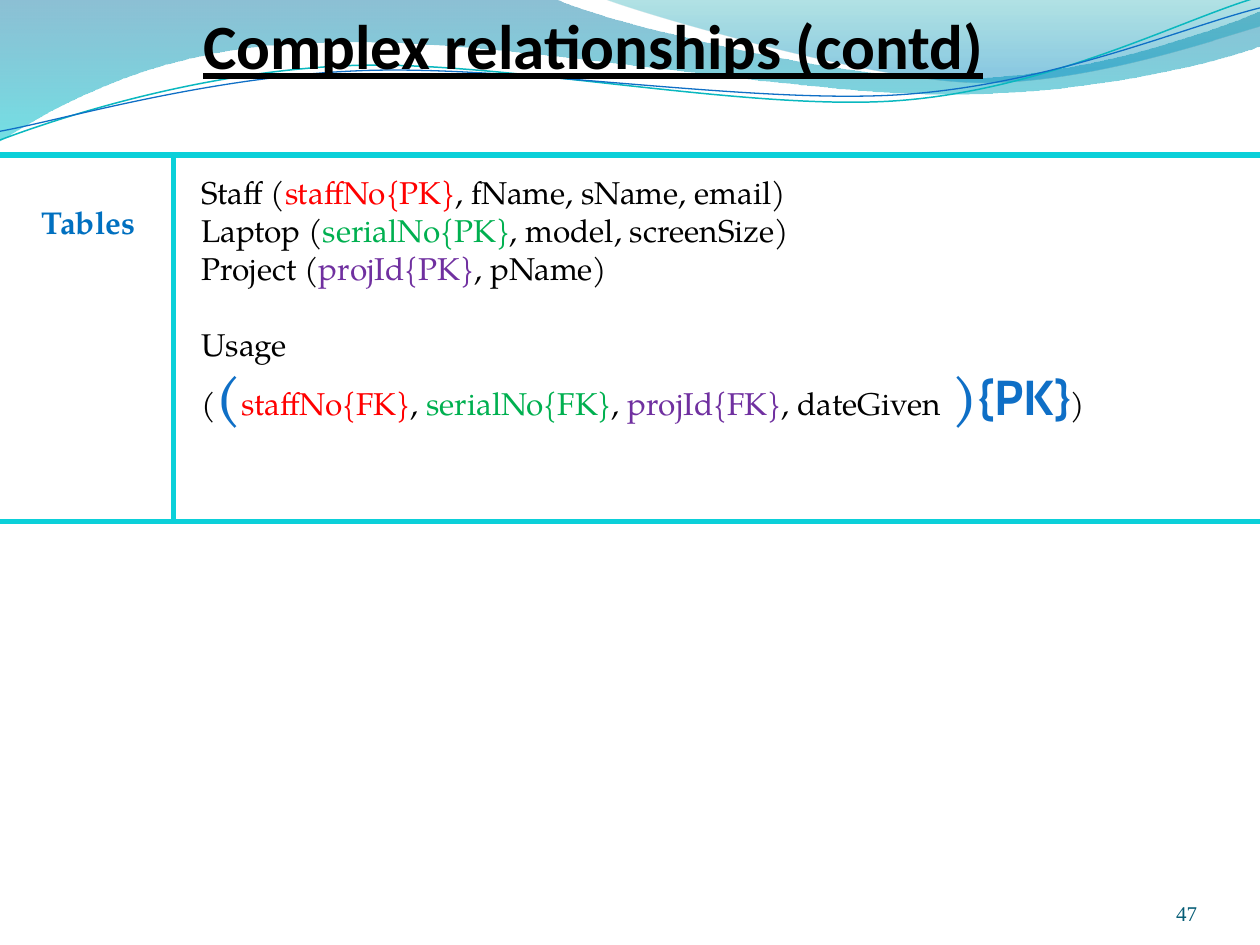
from pptx import Presentation
from pptx.dml.color import RGBColor
from pptx.enum.shapes import MSO_CONNECTOR
from pptx.enum.text import MSO_ANCHOR, PP_ALIGN
from pptx.oxml.ns import qn
from pptx.util import Pt
from lxml import etree

STRAIGHT = MSO_CONNECTOR.STRAIGHT
TOP, BOTTOM = MSO_ANCHOR.TOP, MSO_ANCHOR.BOTTOM
LEFT, RIGHT = PP_ALIGN.LEFT, PP_ALIGN.RIGHT
SERIF = "TeX Gyre Pagella"
BLACK, RED, GREEN, PURPLE = "000000", "FF0000", "00B050", "7030A0"
BLUE, TURQUOISE = "0F6FC6", "0BD0D9"

LEFT_WAVE = [(0, -0.7), (317, -0.7), (343, 12, 478, 45, 546, 45), (614, 45, 690, 19, 720, 6.5),
             (720.7, 26), (708, 32, 626, 55, 537, 54), (448, 54, 275, 20, 185, 24.5),
             (93, 25, 33, 60, -0.7, 81)]
RIGHT_WAVE = [(345, -0.7), (367, 8, 491, 44.5, 553.5, 47), (616, 49.5, 692, 23, 720, 15), (720, 0)]
TEAL_STRAND = [(0, 80), (34.5, 67, 114, 41, 199.5, 37.5), (284.5, 34, 427, 64, 513.5, 57.5),
               (600, 51, 675.5, 11, 718.5, -1.5)]
BLUE_STRAND = [(0, 75), (34, 69, 118, 44, 204, 40.5), (290, 36.5, 430, 60, 516, 54),
               (602, 48, 677.5, 15, 720, 4.5)]

TABLES = [
    [("Staff (",), ("staffNo{PK}", RED), (", fName, sName, email)",)],
    [("Laptop (",), ("serialNo{PK}", GREEN), (", model, screenSize)",)],
    [("Project (",), ("projId{PK}", PURPLE), (", pName)",)],
    [("Usage",)],
    [("(",), ("(", BLUE, 30, True), ("staffNo{FK}", RED), (", ",), ("serialNo{FK}", GREEN),
     (", ",), ("projId{FK}", PURPLE), (", dateGiven",), (" ", BLUE, 28, True),
     (")", BLUE, 30, True), ("{PK}", BLUE, 28, True, "Cabin"), (")",)],
]


def color(value):
    return RGBColor.from_string(value)


class Painter:
    def __init__(self, page):
        self.shapes = page.shapes

    def freeform(self, path, closed):
        points = [(Pt(segment[i]), Pt(segment[i + 1]))
                  for segment in path for i in range(0, len(segment), 2)]
        builder = self.shapes.build_freeform(*points[0])
        builder.add_line_segments(points[1:], close=closed)
        shape = builder.convert_to_shape()
        shape.shadow.inherit = False
        lines = iter(list(shape._element.spPr.iter(qn("a:lnTo"))))
        for segment in path[1:]:
            curve = next(lines)
            if len(segment) == 6:
                curve.tag = qn("a:cubicBezTo")
                for line in (next(lines), next(lines)):
                    curve.append(line[0])
                    line.getparent().remove(line)
        return shape

    def wave(self, path, stops):
        shape = self.freeform(path, True)
        shape.line.fill.background()
        shape.fill.gradient()
        shape.fill.gradient_angle = 270
        for stop, (position, value, opacity) in zip(shape.fill.gradient_stops, stops):
            stop.position = position
            stop.color.rgb = color(value)
        for tint, stop in zip(shape._element.spPr.iter(qn("a:srgbClr")), stops):
            etree.SubElement(tint, qn("a:alpha")).set("val", str(stop[2] * 1000))

    def strand(self, path, value, width):
        shape = self.freeform(path, False)
        shape.fill.background()
        shape.line.color.rgb = color(value)
        shape.line.width = Pt(width)

    def rule(self, x1, y1, x2, y2):
        line = self.shapes.add_connector(STRAIGHT, Pt(x1), Pt(y1), Pt(x2), Pt(y2))
        line.line.color.rgb = color(TURQUOISE)
        line.line.width = Pt(3)
        etree.SubElement(line._element.spPr, qn("a:effectLst"))

    def text(self, bounds, rows, size, value=BLACK, name=SERIF, bold=False, underline=False,
             anchor=TOP, align=LEFT, insets=(7.2, 3.6, 7.2, 3.6), spacing=1):
        box = self.shapes.add_textbox(*(Pt(length) for length in bounds))
        frame = box.text_frame
        frame.word_wrap = True
        frame.vertical_anchor = anchor
        (frame.margin_left, frame.margin_top,
         frame.margin_right, frame.margin_bottom) = (Pt(inset) for inset in insets)
        for index, row in enumerate(rows):
            para = frame.add_paragraph() if index else frame.paragraphs[0]
            para.alignment = align
            para.line_spacing = spacing
            font = para.font
            font.name, font.size, font.bold = name, Pt(size), bold
            font.underline = underline
            font.color.rgb = color(value)
            for span in row:
                self.span(para, *span)
        return frame.paragraphs

    def span(self, para, words, value=None, size=None, bold=None, name=None):
        run = para.add_run()
        run.text = words
        run.font.bold, run.font.name = bold, name
        if size:
            run.font.size = Pt(size)
        if value:
            run.font.color.rgb = color(value)


def main():
    deck = Presentation()
    deck.slide_width, deck.slide_height = Pt(720), Pt(540)
    painter = Painter(deck.slides.add_slide(deck.slide_layouts[6]))

    painter.wave(LEFT_WAVE, [(0, "0074A1", 45), (1, "00C6CF", 55)])
    painter.wave(RIGHT_WAVE, [(0, "00A1A9", 30), (0.8, "008BBF", 45)])
    painter.strand(TEAL_STRAND, "0AB8BF", 0.85)
    painter.strand(BLUE_STRAND, BLUE, 0.75)

    painter.text((116.2, 2.2, 563, 44.6), [[("Complex relationships (contd)",)]], 36,
                 name="Calibri", bold=True, underline=True, anchor=BOTTOM,
                 insets=(0, 3.6, 0, 0), spacing=0.8)
    painter.text((624, 500.4, 60, 28.8), [[("47",)]], 12, "045C75", "Times New Roman",
                 anchor=BOTTOM, align=RIGHT, insets=(0, 0, 0, 0))
    painter.text((16.5, 112.3, 135.4, 36.7), [[("Tables",)]], 18, "0070C0", bold=True)

    schema = painter.text((72, 95.5, 657.4, 218), TABLES, 18)
    for para in schema:
        indents = para._p.get_or_add_pPr()
        indents.set("marL", str(Pt(58.3)))
        indents.set("indent", str(Pt(-22.3)))
    schema[3].space_before = Pt(21.7)

    top, bottom, divider = 88.6, 298.2, 99.2
    for y in (top, bottom):
        painter.rule(0, y, 720, y)
    painter.rule(divider, bottom, divider, top)

    deck.save("out.pptx")


if __name__ == "__main__":
    main()
